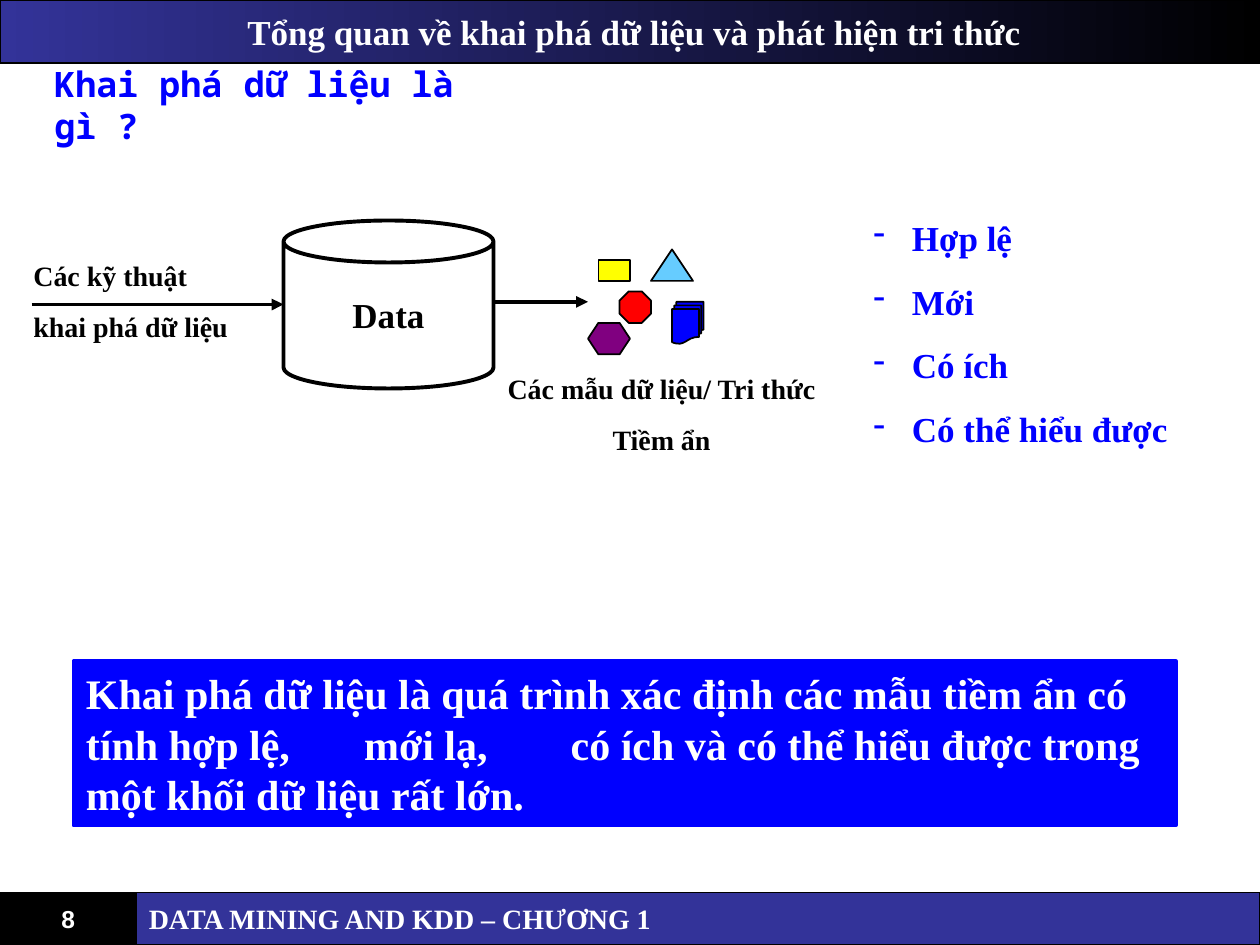
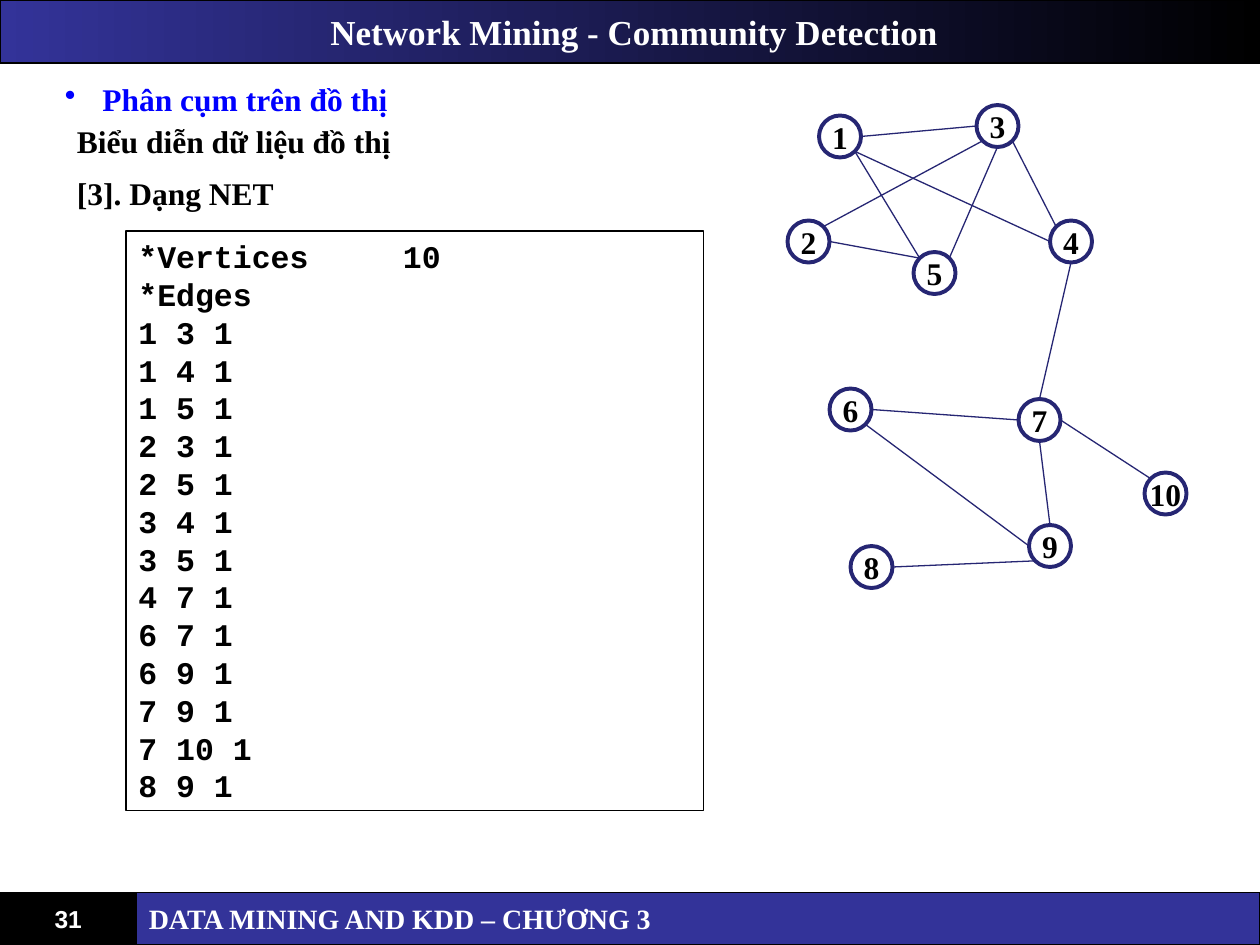
from math import cos, radians, sin

from lxml import etree
from pptx import Presentation
from pptx.dml.color import RGBColor
from pptx.enum.shapes import MSO_CONNECTOR, MSO_SHAPE
from pptx.enum.text import MSO_ANCHOR, PP_ALIGN
from pptx.oxml.ns import qn
from pptx.util import Pt

RECTANGLE = MSO_SHAPE.RECTANGLE
OVAL = MSO_SHAPE.OVAL
STRAIGHT = MSO_CONNECTOR.STRAIGHT
LEFT, CENTER = PP_ALIGN.LEFT, PP_ALIGN.CENTER
TOP, MIDDLE = MSO_ANCHOR.TOP, MSO_ANCHOR.MIDDLE

BLACK, WHITE, BLUE = "000000", "FFFFFF", "0000FF"
INDIGO, NODE_INK = "333399", "262673"
SERIF, SANS = "Times New Roman", "Arial"
CODE, MONO = "Courier New", "Noto Sans Mono"


def add_box(slide, kind, box, text="", *, fill=None, line=None, width=0.75,
            size=18, font=SERIF, color=BLACK, align=LEFT, anchor=TOP,
            wrap=True, gap=0, bullet=None, indent=22, tabs=(), inset=7.2):
    """Add a preset shape, or a text box when kind is None, with bold text."""
    lengths = [Pt(value) for value in box]
    if kind is None:
        shape = slide.shapes.add_textbox(*lengths)
    else:
        shape = slide.shapes.add_shape(kind, *lengths)
        shape.shadow.inherit = False
        if isinstance(fill, tuple):
            shape.fill.gradient()
            shape.fill.gradient_angle = 0
            for stop, stop_color in zip(shape.fill.gradient_stops, fill):
                stop.color.rgb = RGBColor.from_string(stop_color)
        elif fill:
            shape.fill.solid()
            shape.fill.fore_color.rgb = RGBColor.from_string(fill)
        else:
            shape.fill.background()
        shape.line.color.rgb = RGBColor.from_string(line)
        shape.line.width = Pt(width)
    if not text:
        return shape

    frame = shape.text_frame
    frame.word_wrap = wrap
    frame.vertical_anchor = anchor
    frame.margin_left = Pt(inset)
    for index, content in enumerate(text.split("\n")):
        paragraph = frame.add_paragraph() if index else frame.paragraphs[0]
        properties = paragraph._p.get_or_add_pPr()
        if bullet:
            properties.set("marL", str(Pt(indent)))
            properties.set("indent", str(-Pt(indent)))
            bullet_color = etree.SubElement(properties, qn("a:buClr"))
            etree.SubElement(bullet_color, qn("a:srgbClr"), val=color)
            etree.SubElement(properties, qn("a:buChar"), char=bullet)
        if tabs:
            tab_list = etree.SubElement(properties, qn("a:tabLst"))
            for position in tabs:
                etree.SubElement(tab_list, qn("a:tab"), pos=str(Pt(position)), algn="l")
        paragraph.alignment = align
        if index and gap:
            paragraph.space_before = Pt(gap)
        run = paragraph.add_run()
        run.text = content
        run.font.size = Pt(size)
        run.font.name = font
        run.font.bold = True
        run.font.color.rgb = RGBColor.from_string(color)
    return shape


def add_line(slide, start, end, color, width, arrow=False):
    connector = slide.shapes.add_connector(
        STRAIGHT, *[Pt(value) for value in (*start, *end)])
    connector.line.color.rgb = RGBColor.from_string(color)
    connector.line.width = Pt(width)
    if arrow:
        etree.SubElement(connector.line._get_or_add_ln(), qn("a:tailEnd"), type="triangle")
    etree.SubElement(connector._element.spPr, qn("a:effectLst"))


presentation = Presentation()
presentation.slide_width = Pt(720)
presentation.slide_height = Pt(540)

# Shared title band, page number and footer
pages = [
    ("Tổng quan về khai phá dữ liệu và phát hiện tri thức", "8",
     "DATA MINING AND KDD – CHƯƠNG 1"),
    ("Network Mining - Community Detection", "31",
     "DATA MINING AND KDD – CHƯƠNG 3"),
]
for title, number, footer in pages:
    slide = presentation.slides.add_slide(presentation.slide_layouts[6])
    add_box(slide, RECTANGLE, (0, 0, 720, 36), title, fill=(INDIGO, BLACK), line=BLACK,
            size=20, color=WHITE, align=CENTER, anchor=MIDDLE, inset=12)
    add_box(slide, RECTANGLE, (0, 510, 78, 30), number, fill=BLACK, line=BLACK,
            size=14, font=SANS, color=WHITE, align=CENTER, anchor=MIDDLE)
    add_box(slide, RECTANGLE, (78, 510, 642, 30), footer, fill=INDIGO, line=BLACK,
            size=16, color=WHITE, anchor=MIDDLE)
mining_slide, network_slide = presentation.slides

# Slide 1: question and definition
add_box(mining_slide, None, (24, 42, 246, 36), "Khai phá dữ liệu là gì ?",
        size=20, font=MONO, color=BLUE, anchor=MIDDLE)
add_box(mining_slide, RECTANGLE, (42, 378, 630, 93.6),
        "Khai phá dữ liệu là quá trình xác định các mẫu tiềm ẩn có tính hợp lệ,"
        "\tmới lạ,\tcó ích và có thể hiểu được trong một khối dữ liệu rất lớn.",
        fill=BLUE, line=BLUE, width=2.25, size=24, color=WHITE, tabs=(159, 277))

# Slide 1: techniques go into the data, patterns come out
add_box(mining_slide, MSO_SHAPE.CAN, (162, 126, 120, 96), "Data", line=BLACK,
        width=2.25, size=20, align=CENTER, anchor=MIDDLE, wrap=False)
add_line(mining_slide, (18, 174), (162, 174), BLACK, 2.25, arrow=True)
add_line(mining_slide, (282, 172.5), (336, 172.5), BLACK, 2.25, arrow=True)
add_box(mining_slide, None, (12, 144, 156, 55.5), "Các kỹ thuật\nkhai phá dữ liệu",
        size=16, gap=10)
add_box(mining_slide, None, (276, 208.5, 204, 55.5),
        "Các mẫu dữ liệu/ Tri thức\nTiềm ẩn", size=16, align=CENTER, gap=10)

patterns = [
    (RECTANGLE, (342, 148.5, 18, 12), "FFFF00"),
    (MSO_SHAPE.OCTAGON, (354, 166.5, 18, 18), "FF0000"),
    (MSO_SHAPE.HEXAGON, (336, 184.5, 24, 18), "800080"),
    (MSO_SHAPE.ISOSCELES_TRIANGLE, (372, 142.5, 24, 18), "66CCFF"),
    (MSO_SHAPE.FLOWCHART_MULTIDOCUMENT, (384, 172.5, 18, 24), BLUE),
]
for kind, box, fill in patterns:
    pattern = add_box(mining_slide, kind, box, fill=fill, line=BLACK, width=1)
    if kind == MSO_SHAPE.HEXAGON:
        pattern.adjustments[0] = 0.33

# Slide 1: qualities of a good pattern
add_box(mining_slide, None, (492, 120, 192, 141),
        "Hợp lệ\nMới\nCó ích\nCó thể hiểu được",
        size=20, color=BLUE, gap=12.5, bullet="-")

# Slide 2: headings
add_box(network_slide, None, (30, 42, 390, 28.8), "Phân cụm trên đồ thị",
        color=BLUE, bullet="•", indent=21.5)
add_box(network_slide, None, (36.9, 66, 220, 28.8), "Biểu diễn dữ liệu đồ thị")
add_box(network_slide, None, (36.9, 96, 220, 28.8), "[3]. Dạng NET")

# Slide 2: graph nodes by left and top, edges by the sides they touch
DIAMETER = 24
nodes = {
    1: (468, 66), 2: (450, 126), 3: (558, 60), 4: (600, 126), 5: (522, 144),
    6: (474, 222), 7: (582, 228), 8: (486, 312), 9: (588, 300), 10: (654, 270),
}
angles = {"E": 0, "SE": 45, "S": 90, "SW": 135, "W": 180, "NW": 225, "N": 270, "NE": 315}
edges = [
    (1, 3, "E", "W"), (1, 4, "SE", "W"), (1, 5, "SE", "NW"), (2, 3, "NE", "SW"),
    (2, 5, "E", "NW"), (3, 4, "SE", "NW"), (3, 5, "S", "NE"), (4, 7, "S", "N"),
    (6, 7, "E", "W"), (6, 9, "SE", "W"), (7, 9, "S", "N"), (7, 10, "E", "NW"),
    (8, 9, "E", "SW"),
]
for number, (left, top) in nodes.items():
    add_box(network_slide, OVAL, (left, top, DIAMETER, DIAMETER), str(number),
            line=NODE_INK, width=2.25, align=CENTER, anchor=MIDDLE, wrap=False)
for first, second, first_side, second_side in edges:
    ends = []
    for node, side in ((first, first_side), (second, second_side)):
        left, top = nodes[node]
        angle = radians(angles[side])
        ends.append((left + DIAMETER / 2 * (1 + cos(angle)),
                     top + DIAMETER / 2 * (1 + sin(angle))))
    add_line(network_slide, *ends, NODE_INK, 0.75)

# Slide 2: the same graph as a NET file
net_lines = ["*Vertices     10", "*Edges"]
net_lines += [f"{first} {second} 1" for first, second, *sides in edges]
add_box(network_slide, RECTANGLE, (72, 132, 330, 331), "\n".join(net_lines),
        line=BLACK, font=CODE)

presentation.save("out.pptx")
